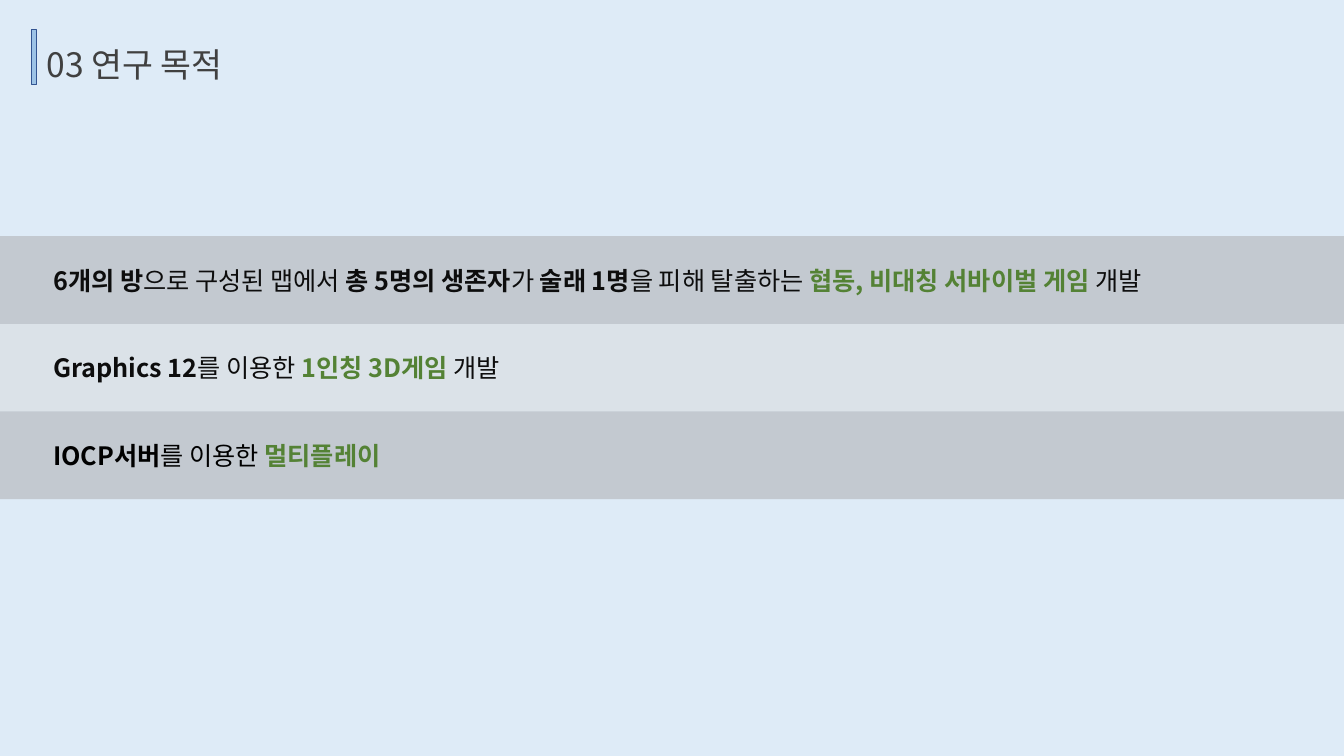
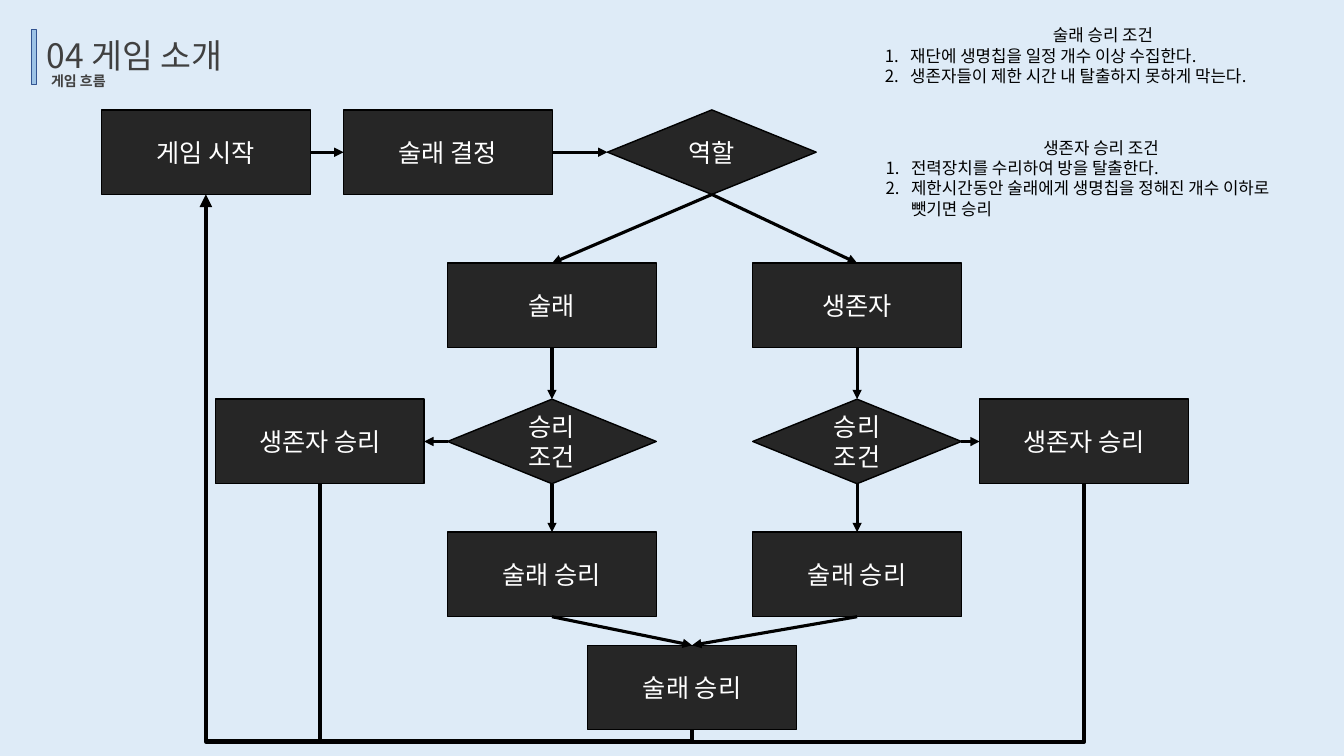
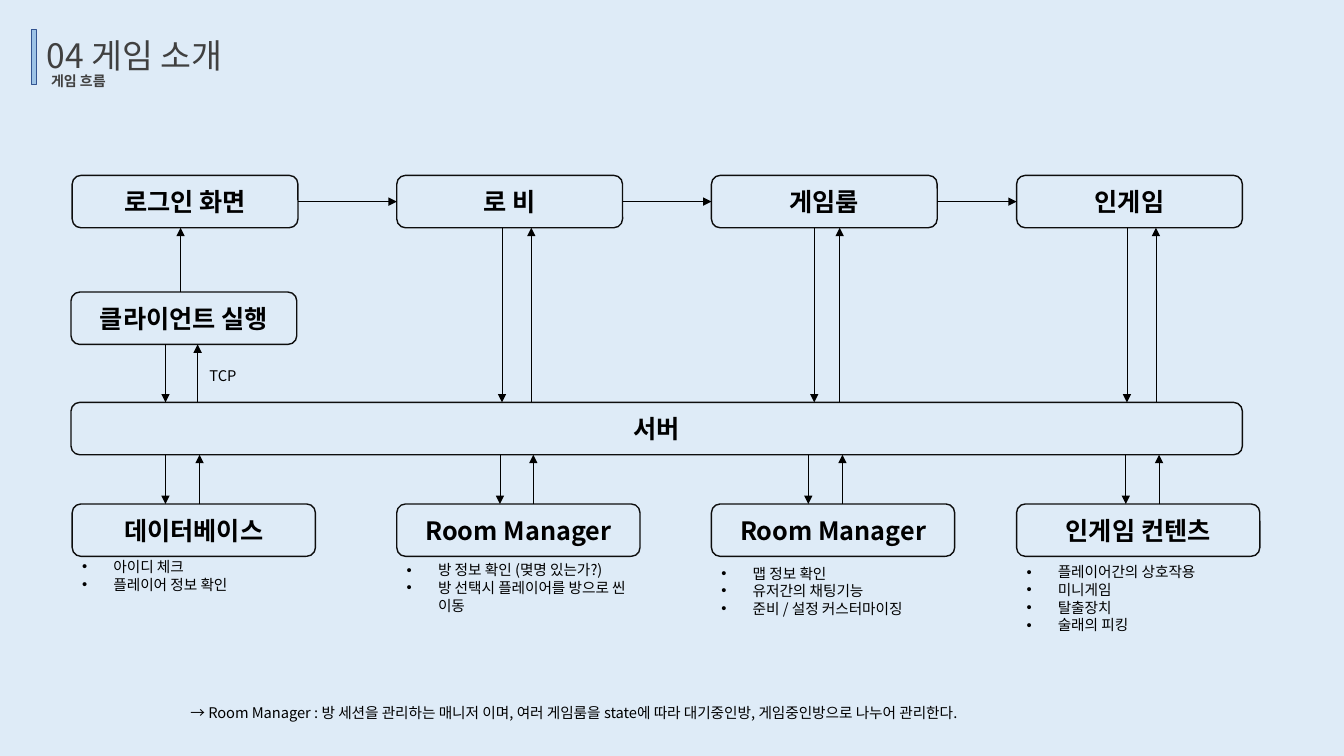
from lxml import etree
from pptx import Presentation
from pptx.dml.color import RGBColor
from pptx.enum.shapes import MSO_CONNECTOR as Link, MSO_SHAPE as Preset
from pptx.enum.text import MSO_ANCHOR as Anchor, MSO_AUTO_SIZE as AutoSize, PP_ALIGN as Align
from pptx.oxml.ns import qn
from pptx.util import Cm, Pt

FONT = "Noto Sans CJK KR"
SKY, GREY, ACCENT = "DEEBF7", "404040", "548235"
BLACK, INK, DARK, WHITE = "000000", "0D0D0D", "262626", "FFFFFF"
TOP, LEFT, BOTTOM, RIGHT = range(4)  # connection sites

# Slide 1: bands of (fill, ink, spans); a span is (text, style)
BAND_TOP, BAND_HEIGHT = 5.95, 2.21
BANDS = [
    ("A6A6A6", INK, [
        ("6개의 방", "bold"), ("으로 구성된 맵에서 ", ""), ("총 5명의 생존자", "bold"),
        ("가 ", ""), ("술래 1명", "bold"), ("을 피해 탈출하는 ", ""),
        ("협동, 비대칭 서바이벌 게임 ", "accent"), ("개발", "")]),
    ("D9D9D9", INK, [
        ("Graphics 12", "bold"), ("를 이용한 ", ""), ("1인칭 3D게임", "accent"), (" 개발", "")]),
    ("A6A6A6", BLACK, [
        ("IOCP서버", "bold"), ("를 이용한 ", ""), ("멀티플레이", "accent")]),
]

# Slide 2: nodes are name: (text, shape, centre x, row)
NODE_WIDTH, NODE_HEIGHT = 5.26, 2.13
ROW_TOPS = [2.77, 6.63, 10.06, 13.41, 16.26]
RETURN_Y = 18.69
TAGGER_X, SURVIVOR_X = 13.91, 21.6
NODES = {
    "start": ("게임 시작", Preset.RECTANGLE, 5.19, 0),
    "choose": ("술래 결정", Preset.RECTANGLE, 11.29, 0),
    "role": ("역할", Preset.DIAMOND, 17.94, 0),
    "tagger": ("술래", Preset.RECTANGLE, TAGGER_X, 1),
    "survivor": ("생존자", Preset.RECTANGLE, SURVIVOR_X, 1),
    "left escape": ("생존자 승리", Preset.RECTANGLE, 8.06, 2),
    "tagger check": ("승리 조건", Preset.DIAMOND, TAGGER_X, 2),
    "survivor check": ("승리 조건", Preset.DIAMOND, SURVIVOR_X, 2),
    "right escape": ("생존자 승리", Preset.RECTANGLE, 27.32, 2),
    "tagger catch": ("술래 승리", Preset.RECTANGLE, TAGGER_X, 3),
    "survivor catch": ("술래 승리", Preset.RECTANGLE, SURVIVOR_X, 3),
    "end": ("술래 승리", Preset.RECTANGLE, 17.44, 4),
}
FLOWS = [
    ("start", RIGHT, "choose", LEFT),
    ("choose", RIGHT, "role", LEFT),
    ("role", BOTTOM, "tagger", TOP),
    ("role", BOTTOM, "survivor", TOP),
    ("tagger", BOTTOM, "tagger check", TOP),
    ("survivor", BOTTOM, "survivor check", TOP),
    ("tagger check", LEFT, "left escape", RIGHT),
    ("survivor check", RIGHT, "right escape", LEFT),
    ("tagger check", BOTTOM, "tagger catch", TOP),
    ("survivor check", BOTTOM, "survivor catch", TOP),
    ("tagger catch", BOTTOM, "end", TOP),
    ("survivor catch", BOTTOM, "end", TOP),
]
# (box, heading, numbered conditions)
CONDITIONS = [
    ((22.05, 0.51, 11.5, 1.8), "술래 승리 조건",
     ["재단에 생명칩을 일정 개수 이상 수집한다.",
      "생존자들이 제한 시간 내 탈출하지 못하게 막는다."]),
    ((22.07, 3.35, 11.36, 2.82), "생존자 승리 조건",
     ["전력장치를 수리하여 방을 탈출한다.",
      "제한시간동안 술래에게 생명칩을 정해진 개수 이하로 뺏기면 승리"]),
]

# Slide 3: columns of (left, screen, module, notes top, notes, upper arrows, lower arrows)
SCREEN_WIDTH, MODULE_WIDTH, BOX_HEIGHT = 5.69, 6.13, 1.32
SCREEN_TOP, CLIENT_TOP, SERVER_TOP, MODULE_TOP = 4.42, 7.36, 10.14, 12.7
COLUMNS = [
    (1.82, "로그인 화면", "데이터베이스", 13.94,
     ["아이디 체크", "플레이어 정보 확인"], (4.17, 4.98), (4.17, 5.03)),
    (10, "로 비", "Room Manager", 14.02,
     ["방 정보 확인 (몆명 있는가?)", "방 선택시 플레이어를 방으로 씬 이동"],
     (12.65, 13.39), (12.6, 13.44)),
    (17.93, "게임룸", "Room Manager", 14.1,
     ["맵 정보 확인", "유저간의 채팅기능", "준비 / 설정 커스터마이징"],
     (20.52, 21.16), (20.37, 21.23)),
    (25.62, "인게임", "인게임 컨텐츠", 14.07,
     ["플레이어간의 상호작용", "미니게임", "탈출장치", "술래의 피킹"],
     (28.4, 29.13), (28.37, 29.21)),
]
ROOM_NOTE = ("→ Room Manager : 방 세션을 관리하는 매니저 이며, 여러 게임룸을 state에 따라 "
             "대기중인방, 게임중인방으로 나누어 관리한다.")


def rgb(value):
    return RGBColor.from_string(value)


def child(parent, tag, **attributes):
    return etree.SubElement(parent, qn(tag), **attributes)


def write(para, spans, size, color, bold=False, align=None, bullet=None, indent=0.0):
    """Fill one paragraph; spans is a string or a list of (text, style)."""
    properties = para._p.get_or_add_pPr()
    if bullet:
        properties.set("marL", str(Cm(indent)))
        properties.set("indent", str(-Cm(indent)))
        if bullet == "number":
            child(properties, "a:buAutoNum", type="arabicPeriod")
        else:
            child(properties, "a:buFont", typeface="Arial")
            child(properties, "a:buChar", char=bullet)
    if align is not None:
        para.alignment = align
    font = para.font
    font.size, font.bold, font.name = Pt(size), bold, FONT
    font.color.rgb = rgb(color)
    child(properties.find(qn("a:defRPr")), "a:ea", typeface=FONT)
    for text, style in [(spans, "")] if isinstance(spans, str) else spans:
        span = para.add_run()
        span.text = text
        if style:
            span.font.bold = True
        if style == "accent":
            span.font.color.rgb = rgb(ACCENT)


def add_text(page, place, lines):
    """Text box; each line is (spans, options of write)."""
    box = page.shapes.add_textbox(*map(Cm, place))
    frame = box.text_frame
    frame.word_wrap, frame.auto_size = True, AutoSize.SHAPE_TO_FIT_TEXT
    for number, (spans, options) in enumerate(lines):
        para = frame.add_paragraph() if number else frame.paragraphs[0]
        write(para, spans, **options)


def add_box(page, preset, place, fill=None, line=None, text=None, **options):
    box = page.shapes.add_shape(preset, *map(Cm, place))
    box.shadow.inherit = False
    if fill:
        box.fill.solid()
        box.fill.fore_color.rgb = rgb(fill)
    else:
        box.fill.background()
    if line:
        box.line.color.rgb = rgb(line)
        box.line.width = Pt(1)
    else:
        box.line.fill.background()
    if text:
        box.text_frame.vertical_anchor = Anchor.MIDDLE
        write(box.text_frame.paragraphs[0], text, align=Align.CENTER, **options)
    return box


def style_line(line, width, arrow=True):
    line.line.color.rgb = rgb(BLACK)
    line.line.width = Pt(width)
    properties = line.element.spPr
    if arrow:
        child(properties.find(qn("a:ln")), "a:tailEnd", type="triangle")
    child(properties, "a:effectLst")


def add_line(page, x1, y1, x2, y2, width, arrow=True):
    line = page.shapes.add_connector(Link.STRAIGHT, *map(Cm, (x1, y1, x2, y2)))
    style_line(line, width, arrow)


def join(page, source, source_site, target, target_site, width):
    line = page.shapes.add_connector(Link.STRAIGHT, 0, 0, 0, 0)
    line.begin_connect(source, source_site)
    line.end_connect(target, target_site)
    style_line(line, width)


def add_elbow(page, x1, y1, x2, y2, preset, adjust=None, arrow=False):
    """Elbow that leaves downwards and runs left: a quarter-turned connector."""
    length, depth = abs(y2 - y1), x1 - x2
    left, top = (x1 + x2 - length) / 2, (y1 + y2 - depth) / 2
    line = page.shapes.add_connector(
        Link.ELBOW, *map(Cm, (left, top, left + length, top + depth)))
    frame = line.element.spPr.find(qn("a:xfrm"))
    frame.set("rot", "5400000")
    if y2 < y1:
        frame.set("flipH", "1")
    geometry = line.element.spPr.find(qn("a:prstGeom"))
    geometry.set("prst", preset)
    if adjust is not None:
        child(geometry.find(qn("a:avLst")), "a:gd", name="adj1",
              fmla=f"val {round(adjust * 100000)}")
    style_line(line, 3, arrow)


def add_page(deck, title, subtitle=None):
    page = deck.slides.add_slide(deck.slide_layouts[6])
    title_top = 0.76 if subtitle else 0.97
    add_text(page, (0.92, title_top, 12.93, 1.27), [(title, dict(size=24, color=GREY))])
    add_box(page, Preset.RECTANGLE, (0.79, 0.75, 0.13, 1.38), "9DC3E6", "325491")
    if subtitle:
        add_text(page, (1.04, 1.7, 12.93, 0.69),
                 [(subtitle, dict(size=10, color=GREY, bold=True))])
    return page


def build_purpose(deck):
    page = add_page(deck, "03 연구 목적")
    for number, (fill, ink, spans) in enumerate(BANDS):
        top = BAND_TOP + number * BAND_HEIGHT
        band = add_box(page, Preset.RECTANGLE, (0, top, 33.87, BAND_HEIGHT), fill)
        color = band.element.spPr.find(qn("a:solidFill")).find(qn("a:srgbClr"))
        child(color, "a:alpha", val="48000")
        add_text(page, (1.09, top + 0.6, 31.67, 1.02), [(spans, dict(size=18, color=ink))])


def build_flow(deck):
    page = add_page(deck, "04 게임 소개", "게임 흐름")
    nodes = {}
    for name, (text, preset, center, row) in NODES.items():
        place = (center - NODE_WIDTH / 2, ROW_TOPS[row], NODE_WIDTH, NODE_HEIGHT)
        nodes[name] = add_box(page, preset, place, DARK, BLACK, text, size=18, color=WHITE)
    for source, source_site, target, target_site in FLOWS:
        join(page, nodes[source], source_site, nodes[target], target_site, 2.25)

    # Paths back to the start
    def bottom_of(name):
        _, _, center, row = NODES[name]
        return center, ROW_TOPS[row] + NODE_HEIGHT

    end_x, end_y = bottom_of("end")
    start_x, start_y = bottom_of("start")
    add_elbow(page, end_x, end_y, start_x, start_y, "bentConnector3",
              (end_y - RETURN_Y) / (end_y - start_y), arrow=True)
    left_x, left_y = bottom_of("left escape")
    add_line(page, left_x, left_y, left_x, RETURN_Y - 0.05, 3, arrow=False)
    add_elbow(page, *bottom_of("right escape"), end_x, RETURN_Y, "bentConnector2")

    # Winning conditions
    for place, heading, items in CONDITIONS:
        base = dict(size=12, color=BLACK)
        numbered = dict(base, bullet="number", indent=0.64)
        add_text(page, place, [(heading, dict(base, align=Align.CENTER))]
                 + [(item, numbered) for item in items])


def build_structure(deck):
    page = add_page(deck, "04 게임 소개", "게임 흐름")
    small = dict(size=10.5, color=BLACK)

    def add_stage(text, left, top, width):
        return add_box(page, Preset.ROUNDED_RECTANGLE, (left, top, width, BOX_HEIGHT),
                       None, INK, text, size=18, color=BLACK, bold=True)

    def add_exchange(xs, top, bottom):
        down, up = xs
        add_line(page, down, top, down, bottom, 0.5)
        add_line(page, up, bottom, up, top, 0.5)

    # Client and server
    server_left = 1.79
    add_stage("클라이언트 실행", server_left, CLIENT_TOP, SCREEN_WIDTH)
    add_line(page, 4.55, CLIENT_TOP, 4.55, SCREEN_TOP + BOX_HEIGHT, 0.5)
    add_stage("서버", server_left, SERVER_TOP, 29.52)
    add_text(page, (5.03, 9.12, 1.37, 0.71), [("TCP", small)])

    # Columns: screen above the server, module and notes below
    screens = []
    for number, (left, screen, module, notes_top, notes, upper, lower) in enumerate(COLUMNS):
        screens.append(add_stage(screen, left, SCREEN_TOP, SCREEN_WIDTH))
        add_stage(module, left, MODULE_TOP, MODULE_WIDTH)
        sender_top = SCREEN_TOP if number else CLIENT_TOP
        add_exchange(upper, sender_top + BOX_HEIGHT, SERVER_TOP)
        add_exchange(lower, SERVER_TOP + BOX_HEIGHT, MODULE_TOP)
        bulleted = dict(small, bullet="•", indent=0.79)
        add_text(page, (left, notes_top, MODULE_WIDTH, 0.25 + 0.45 * len(notes)),
                 [(note, bulleted) for note in notes])
    for source, target in zip(screens, screens[1:]):
        join(page, source, RIGHT, target, LEFT, 0.5)
    add_text(page, (4.55, 17.6, 26.9, 0.71), [(ROOM_NOTE, small)])


def main():
    deck = Presentation()
    deck.slide_width, deck.slide_height = Cm(33.87), Cm(19.05)
    backdrop = deck.slide_master.background.fill
    backdrop.solid()
    backdrop.fore_color.rgb = rgb(SKY)
    build_purpose(deck)
    build_flow(deck)
    build_structure(deck)
    deck.save("out.pptx")


if __name__ == "__main__":
    main()
